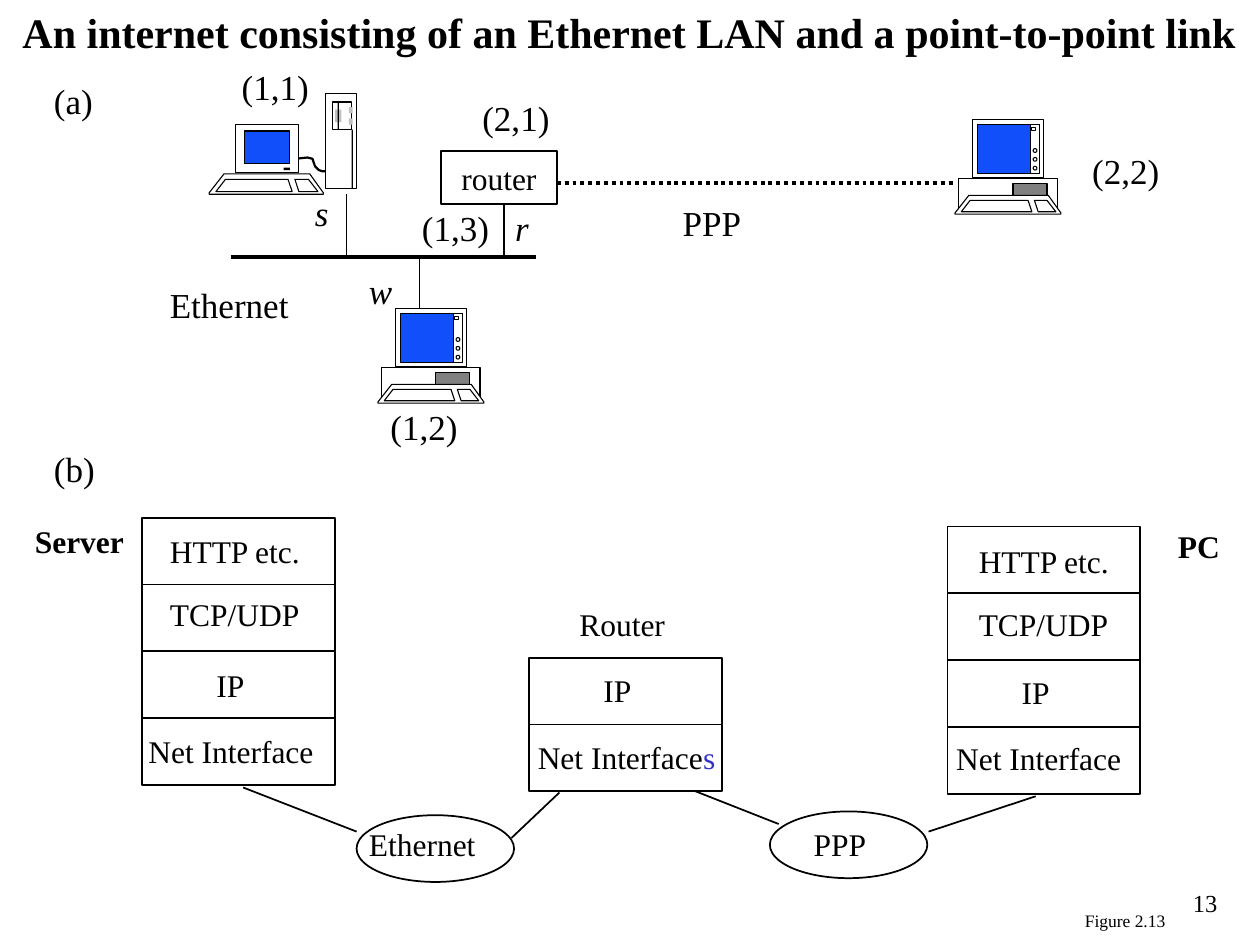
"""Build a slide on an internet made of an Ethernet LAN and a point-to-point link."""
import pptx
import pptx.dml.color
import pptx.enum.dml
import pptx.enum.shapes
import pptx.enum.text
import pptx.oxml
import pptx.oxml.ns
import pptx.util

THEME = {
    "font": "Times New Roman",
    "ink": "000000", "paper": "FFFFFF", "screen": "114FFB",
    "gray": "808080", "silver": "C0C0C0", "accent": "3333CC",
    "title": 24, "large": 20, "body": 18, "page": 14, "note": 10,
    "thin": 0.63, "line": 1, "cord": 1.25, "thick": 2.25,
}
Inches = pptx.util.Inches
SHAPE = pptx.enum.shapes.MSO_SHAPE
ALIGN = pptx.enum.text.PP_ALIGN
ANCHOR = pptx.enum.text.MSO_ANCHOR

LAYERS = ["HTTP etc.", "TCP/UDP", "IP", "Net Interface"]
WIDTHS = {"HTTP etc.": 1.3, "TCP/UDP": 1.3, "IP": 0.5, "Net Interface": 1.6}
CELL = (1.53, 0.53)
STACKS = [
    (1.13, 4.11, LAYERS, "", [(1.25, 4.17), (1.25, 4.67), (1.62, 5.24), (1.08, 5.76)]),
    (4.2, 5.22, LAYERS[2:], "s", [(4.69, 5.28), (4.17, 5.81)]),
    (7.52, 4.18, LAYERS, "", [(7.67, 4.25), (7.67, 4.75), (8.01, 5.29), (7.49, 5.82)]),
]
CLOUDS = [(2.83, 6.47), (6.11, 6.44)]
ROUTER = (3.5, 1.2, 0.92, 0.42)

LINKS = [
    (1.93, 6.25, 2.83, 6.6), (4.06, 6.65, 4.44, 6.29),
    (5.52, 6.28, 6.18, 6.54), (7.37, 6.6, 8.22, 6.32),
    (2.75, 1.54, 2.75, 2.04), (3.33, 2.04, 3.33, 2.45), (4, 1.62, 4, 2.04),
]
BUS = (1.83, 2.04, 4.25, 2.04)
WIRE = (4.42, 1.45, 7.58, 1.45)

LABELS = {
    "large": [
        ("(1,1)", 1.82, 0.47, 0.77), ("(1,2)", 3, 3.17, 0.77),
        ("(2,1)", 3.73, 0.72, 0.77), ("(1,3)", 3.25, 1.59, 0.77),
        ("(2,2)", 8.57, 1.14, 0.77), ("PPP", 5.32, 1.55, 0.76),
        ("Ethernet", 1.25, 2.2, 1.5), ("(a)", 0.33, 0.58, 0.75),
        ("(b)", 0.33, 3.5, 0.75),
    ],
    "body": [
        ("Ethernet", 2.83, 6.5, 1.15), ("PPP", 6.36, 6.5, 0.8),
        ("Router", 4.5, 4.75, 1),
    ],
}
NODES = [("s", 2.4, 1.47, 0.34), ("w", 2.83, 2.09, 0.4), ("r", 3.99, 1.59, 0.34)]
HOSTS = [("Server", 0.14, 4.09, 0.98), ("PC", 9.24, 4.13, 0.55)]
TITLE = "An internet consisting of an Ethernet LAN and a point-to-point link"

KEYS = [
    [(0.11, 0), (0.74, 0), (0.84, 0.14), (0.84, 0.15), (0, 0.15), (0, 0.14)],
    [(0.12, 0.04), (0.58, 0.04), (0.61, 0.13), (0.05, 0.13)],
    [(0.63, 0.04), (0.73, 0.04), (0.8, 0.13), (0.66, 0.13)],
]
PCS = [(3, 2.45), (7.58, 0.95)]
CASE = [((0.03, 0.47, 0.78, 0.24), "paper"), ((0.46, 0.51, 0.27, 0.11), "gray")]
SCREEN = [
    ((0.14, 0, 0.56, 0.46), "paper"), ((0.18, 0.04, 0.49, 0.39), "screen"),
    ((0.6, 0.04, 0.07, 0.39), "paper"), ((0.61, 0.06, 0.03, 0.03), "paper"),
]
KNOBS = [0.23, 0.3, 0.37]
TOWER = [
    ((1.87, 0.99, 0.5, 0.38), "paper"), ((1.94, 1.04, 0.36, 0.26), "screen"),
    ((2.25, 1.33, 0.05, 0.02), "ink"), ((2.58, 0.74, 0.25, 0.76), "paper"),
    ((2.64, 0.81, 0.15, 0.22), "paper"), ((2.79, 1.03, 0.01, 0.47), "ink"),
    ((2.66, 0.87, 0.05, 0.1), "silver"), ((2.68, 0.81, 0.01, 0.22), "ink"),
    ((2.77, 0.85, 0.03, 0.05), "silver"), ((2.77, 0.94, 0.03, 0.05), "silver"),
]
CORD = [(2.35, 1.26), (2.44, 1.25), (2.48, 1.26), (2.5, 1.32), (2.53, 1.35),
        (2.56, 1.36), (2.6, 1.36)]


def hue(name):
    return pptx.dml.color.RGBColor.from_string(THEME[name])


def paint(shape, fill=None, width="thin"):
    shape.shadow.inherit = False
    if fill:
        shape.fill.solid()
        shape.fill.fore_color.rgb = hue(fill)
    else:
        shape.fill.background()
    if fill in ("ink", "silver"):
        shape.line.fill.background()
    else:
        shape.line.color.rgb = hue("ink")
        shape.line.width = pptx.util.Pt(THEME[width])
    return shape


def block(shapes, box, fill=None, kind=SHAPE.RECTANGLE, width="thin"):
    return paint(shapes.add_shape(kind, *map(Inches, box)), fill, width)


def trace(shapes, points, fill=None, width="thin"):
    dots = [(Inches(x), Inches(y)) for x, y in points]
    pen = shapes.build_freeform(*dots[0], scale=1.0)
    pen.add_line_segments(dots[1:], close=bool(fill))
    paint(pen.convert_to_shape(), fill, width)


def link(shapes, ends, width="line"):
    line = shapes.add_connector(pptx.enum.shapes.MSO_CONNECTOR.STRAIGHT, *map(Inches, ends))
    line.line.color.rgb = hue("ink")
    line.line.width = pptx.util.Pt(THEME[width])
    effect = pptx.oxml.parse_xml(f"<a:effectLst {pptx.oxml.ns.nsdecls('a')}/>")
    line._element.spPr.append(effect)
    return line


def write(shape, words, size="body", bold=False, slant=False, align=ALIGN.LEFT,
          anchor=ANCHOR.TOP, tail=""):
    frame = shape.text_frame
    frame.word_wrap = False
    frame.vertical_anchor = anchor
    para = frame.paragraphs[0]
    para.alignment = align
    for part, color in ((words, "ink"), (tail, "accent")):
        if part:
            run = para.add_run()
            run.text = part
            font = run.font
            font.name, font.size = THEME["font"], pptx.util.Pt(THEME[size])
            font.bold, font.italic = bold, slant
            font.color.rgb = hue(color)


def label(shapes, words, x, y, wide, high=0.4, **style):
    write(shapes.add_textbox(*map(Inches, (x, y, wide, high))), words, **style)


def keyboard(shapes, x, y, scale=1):
    for outline in KEYS:
        trace(shapes, [(x + a * scale, y + b * scale) for a, b in outline], "paper")


def desktop(shapes, x, y):
    group = shapes.add_group_shape().shapes

    def place(parts):
        for (a, b, wide, high), fill in parts:
            block(group, (x + a, y + b, wide, high), fill)

    place(CASE)
    keyboard(group, x, y + 0.6)
    place(SCREEN)
    for drop in KNOBS:
        block(group, (x + 0.62, y + drop, 0.03, 0.03), "paper", SHAPE.OVAL)


def server(shapes):
    group = shapes.add_group_shape().shapes
    trace(group, CORD, width="cord")
    keyboard(group, 1.66, 1.38, 1.08)
    for box, fill in TOWER:
        block(group, box, fill)


def main():
    deck = pptx.Presentation()
    deck.slide_width, deck.slide_height = Inches(10), Inches(7.5)
    shapes = deck.slides.add_slide(deck.slide_layouts[6]).shapes
    for left, top, names, tail, spots in STACKS:
        for row, (name, (x, y)) in enumerate(zip(names, spots)):
            block(shapes, (left, top + row * CELL[1], *CELL), width="line")
            last = tail if row == len(names) - 1 else ""
            label(shapes, name, x, y, WIDTHS[name] + (0.1 if last else 0), tail=last)
    for x, y in CLOUDS:
        block(shapes, (x, y, 1.25, 0.53), kind=SHAPE.OVAL, width="line")
    link(shapes, BUS, "thick")
    for ends in LINKS:
        link(shapes, ends)
    wire = link(shapes, WIRE, "thick")
    wire.line.dash_style = pptx.enum.dml.MSO_LINE.ROUND_DOT
    for x, y in PCS:
        desktop(shapes, x, y)
    server(shapes)
    router = block(shapes, ROUTER, "paper", width="line")
    write(router, "router", align=ALIGN.CENTER, anchor=ANCHOR.MIDDLE)
    for size, items in LABELS.items():
        for item in items:
            label(shapes, *item, size=size)
    for item in NODES:
        label(shapes, *item, size="large", slant=True)
    for item in HOSTS:
        label(shapes, *item, bold=True, align=ALIGN.CENTER, anchor=ANCHOR.MIDDLE)
    label(shapes, TITLE, 0.08, 0, 9.9, 0.5, size="title", bold=True)
    label(shapes, "Figure 2.13", 8.51, 7.17, 0.84, 0.27, size="note",
          align=ALIGN.CENTER, anchor=ANCHOR.MIDDLE)
    label(shapes, "13", 9.08, 7, 0.68, 0.5, size="page", align=ALIGN.RIGHT)
    deck.save("out.pptx")


if __name__ == "__main__":
    main()
